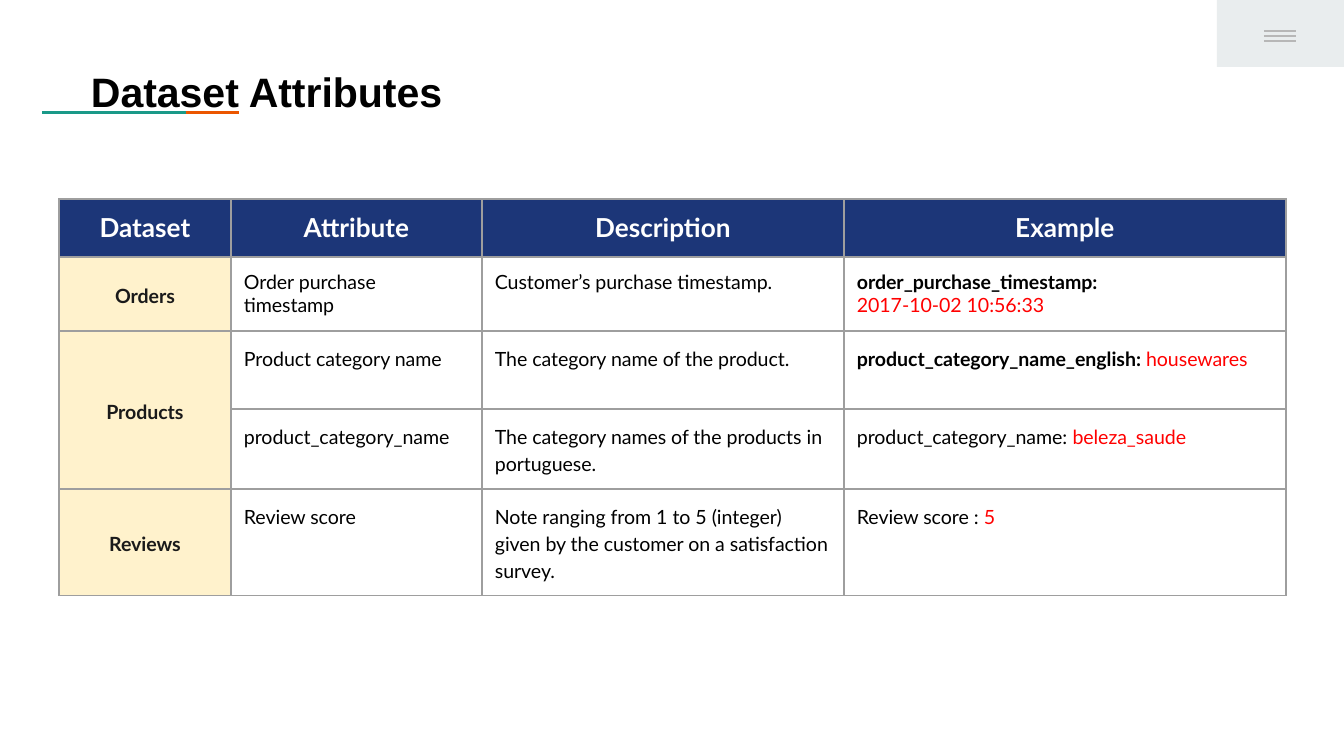
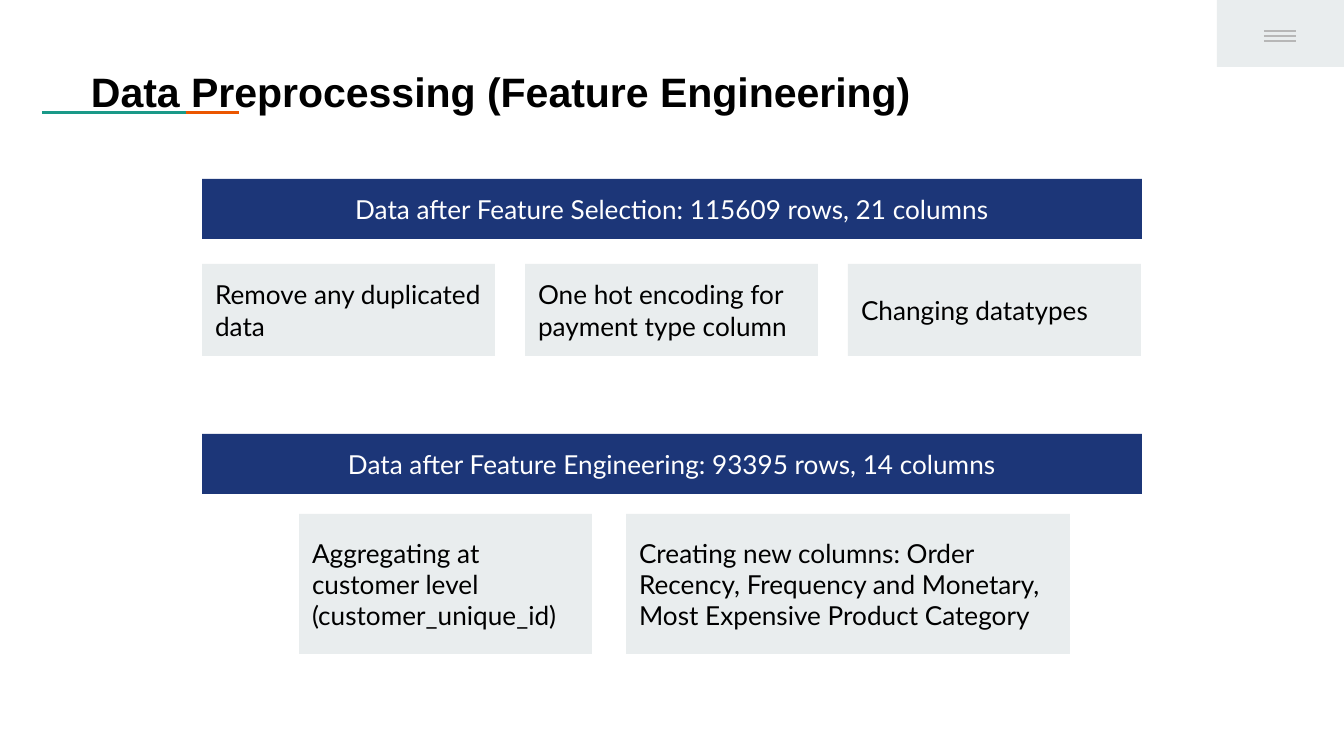
import dataclasses
import typing

import lxml.etree
import pptx
import pptx.dml.color
import pptx.enum.shapes
import pptx.enum.text
import pptx.oxml.ns
import pptx.util

EMU_PER_PX = 914400 / 134.4
INSET = 13
COLOURS = {
    "black": "000000",
    "white": "FFFFFF",
    "ink": "1A1A1A",
    "red": "FF0000",
    "navy": "1C3678",
    "cream": "FFF2CC",
    "mist": "E9EDEE",
    "teal": "1A9988",
    "orange": "EB5600",
    "rule": "B7B7B7",
    "grid": "9E9E9E",
}
CENTER = pptx.enum.text.PP_ALIGN.CENTER
LEFT = pptx.enum.text.PP_ALIGN.LEFT
TOP = pptx.enum.text.MSO_ANCHOR.TOP
MIDDLE = pptx.enum.text.MSO_ANCHOR.MIDDLE
GRID_WIDTH = pptx.util.Pt(0.75)


@dataclasses.dataclass(frozen=True)
class Style:
    colour: str = "black"
    size: float = 10.5
    bold: bool = False
    name: str = "Lato"


TITLE = Style(size=22, bold=True, name="Arial")
HEADING = Style("white", 14, True)
CATEGORY = Style("ink", bold=True)
PLAIN = Style()
STRONG = Style(bold=True)
VALUE = Style("red")
BANNER = Style("white", 14)
CARD = Style(size=14)


@dataclasses.dataclass(frozen=True)
class Span:
    text: str
    style: Style = PLAIN


Paragraphs = list[list[Span]]


@dataclasses.dataclass(frozen=True)
class Box:
    left: int
    top: int
    width: int
    height: int


@dataclasses.dataclass(frozen=True)
class Attribute:
    category: str
    name: str
    description: str
    example: Paragraphs
    height: int
    line_spacing: float | None = 1.15


@dataclasses.dataclass(frozen=True)
class Stage:
    """A banner and the row of cards below it."""

    top: int
    banner: str
    cards_left: int
    cards_top: int
    cards_height: int
    gap: int
    cards: list[tuple[int, str]]


HEADINGS = ["Dataset", "Attribute", "Description", "Example"]
COLUMN_WIDTHS = [172, 251, 362, 442]
HEADING_HEIGHT = 58
ATTRIBUTES = [
    Attribute(
        "Orders", "Order purchase timestamp", "Customer’s purchase timestamp.",
        [[Span("order_purchase_timestamp:", STRONG)],
         [Span("2017-10-02 10:56:33", VALUE)]],
        74, None,
    ),
    Attribute(
        "Products", "Product category name", "The category name of the product.",
        [[Span("product_category_name_english: ", STRONG), Span("housewares", VALUE)]],
        78,
    ),
    Attribute(
        "Products", "product_category_name",
        "The category names of the products in portuguese.",
        [[Span("product_category_name: "), Span("beleza_saude", VALUE)]],
        78,
    ),
    Attribute(
        "Reviews", "Review score",
        "Note ranging from 1 to 5 (integer) given by the customer on a satisfaction survey.",
        [[Span("Review score : "), Span("5", VALUE)]],
        105,
    ),
]
STAGES = [
    Stage(
        179, "Data after Feature Selection: 115609 rows, 21 columns",
        202, 264, 92, 30,
        [(293, "Remove any duplicated data"),
         (293, "One hot encoding for payment type column"),
         (293, "Changing datatypes")],
    ),
    Stage(
        434, "Data after Feature Engineering: 93395 rows, 14 columns",
        299, 514, 140, 34,
        [(293, "Aggregating at customer level (customer_unique_id)"),
         (444, "Creating new columns: Order Recency, Frequency and Monetary, "
               "Most Expensive Product Category")],
    ),
]


def px(length: int) -> int:
    return round(length * EMU_PER_PX)


def place(box: Box) -> list[int]:
    return [px(length) for length in dataclasses.astuple(box)]


def colour(name: str) -> pptx.dml.color.RGBColor:
    return pptx.dml.color.RGBColor.from_string(COLOURS[name])


def set_all(target: typing.Any, values: dict[str, typing.Any]) -> None:
    for name, value in values.items():
        setattr(target, name, value)


def set_layout(holder: typing.Any, anchor: typing.Any, top_inset: int = INSET) -> None:
    """Set the insets and the anchor of a text frame or a table cell."""
    set_all(holder, {
        "margin_left": px(INSET),
        "margin_right": px(INSET),
        "margin_top": px(top_inset),
        "margin_bottom": px(INSET),
        "vertical_anchor": anchor,
        "word_wrap": True,
    } if not hasattr(holder, "is_merge_origin") else {
        "margin_left": px(INSET),
        "margin_right": px(INSET),
        "margin_top": px(top_inset),
        "margin_bottom": px(INSET),
        "vertical_anchor": anchor,
    })


def write(frame: typing.Any, paragraphs: Paragraphs, **formats: typing.Any) -> None:
    for index, spans in enumerate(paragraphs):
        para = frame.add_paragraph() if index else frame.paragraphs[0]
        set_all(para, formats)
        for span in spans:
            run = para.add_run()
            run.text = span.text
            set_all(run.font, {
                "name": span.style.name,
                "size": pptx.util.Pt(span.style.size),
                "bold": span.style.bold,
            })
            run.font.color.rgb = colour(span.style.colour)


def add_block(page: typing.Any, box: Box, fill: str) -> typing.Any:
    block = page.shapes.add_shape(
        pptx.enum.shapes.MSO_SHAPE.RECTANGLE, *place(box))
    block.shadow.inherit = False
    block.fill.solid()
    block.fill.fore_color.rgb = colour(fill)
    block.line.fill.background()
    return block


def add_label(page: typing.Any, box: Box, fill: str, span: Span, alignment: typing.Any) -> None:
    frame = add_block(page, box, fill).text_frame
    set_layout(frame, MIDDLE)
    write(frame, [[span]], alignment=alignment)


def add_menu_line(page: typing.Any, top: int) -> None:
    line = page.shapes.add_connector(
        pptx.enum.shapes.MSO_CONNECTOR.STRAIGHT, px(1264), px(top), px(1296), px(top))
    line.line.color.rgb = colour("rule")
    line.line.width = GRID_WIDTH
    lxml.etree.SubElement(line._element.spPr, pptx.oxml.ns.qn("a:effectLst"))


def add_page(deck: typing.Any, title: str) -> typing.Any:
    """Add a blank page with the shared corner menu, underline and title."""
    page = deck.slides.add_slide(deck.slide_layouts[6])
    add_block(page, Box(185, 111, 54, 3), "orange")
    add_block(page, Box(42, 111, 144, 3), "teal")
    add_block(page, Box(1217, 0, 127, 67), "mist")
    for top in range(31, 42, 5):
        add_menu_line(page, top)
    frame = page.shapes.add_textbox(*place(Box(78, 40, 1188, 77))).text_frame
    set_layout(frame, TOP, top_inset=19)
    write(frame, [[Span(title, TITLE)]],
          line_spacing=1.15, space_after=pptx.util.Pt(6))
    return page


def add_borders(cell: typing.Any) -> None:
    qn = pptx.oxml.ns.qn
    properties = cell._tc.get_or_add_tcPr()
    for side in ("lnL", "lnR", "lnT", "lnB"):
        border = lxml.etree.SubElement(properties, qn(f"a:{side}"), w=str(GRID_WIDTH))
        fill = lxml.etree.SubElement(border, qn("a:solidFill"))
        lxml.etree.SubElement(fill, qn("a:srgbClr"), val=COLOURS["grid"])


def fill_cell(cell: typing.Any, paragraphs: Paragraphs, fill: str | None = None,
              anchor: typing.Any = TOP, **formats: typing.Any) -> None:
    set_layout(cell, anchor)
    if fill:
        cell.fill.solid()
        cell.fill.fore_color.rgb = colour(fill)
    else:
        cell.fill.background()
    write(cell.text_frame, paragraphs, **formats)


def add_attribute_table(page: typing.Any) -> None:
    heights = [HEADING_HEIGHT] + [attribute.height for attribute in ATTRIBUTES]
    box = Box(59, 199, sum(COLUMN_WIDTHS), sum(heights))
    table = page.shapes.add_table(len(heights), len(HEADINGS), *place(box)).table
    set_all(table, {"first_row": False, "horz_banding": False})
    for column, width in zip(table.columns, COLUMN_WIDTHS):
        column.width = px(width)
    for row, height in zip(table.rows, heights):
        row.height = px(height)
    for cell in table.iter_cells():
        add_borders(cell)

    for index, heading in enumerate(HEADINGS):
        fill_cell(table.cell(0, index), [[Span(heading, HEADING)]], "navy",
                  alignment=CENTER)
    category_cell = None
    category = ""
    for index, attribute in enumerate(ATTRIBUTES, start=1):
        cell = table.cell(index, 0)
        if attribute.category == category:
            category_cell.merge(cell)
        else:
            category, category_cell = attribute.category, cell
            fill_cell(cell, [[Span(category, CATEGORY)]], "cream", MIDDLE,
                      alignment=CENTER, line_spacing=1.15)
        contents = [[[Span(attribute.name)]], [[Span(attribute.description)]],
                    attribute.example]
        for column, paragraphs in enumerate(contents, start=1):
            fill_cell(table.cell(index, column), paragraphs,
                      line_spacing=attribute.line_spacing)


def add_stage(page: typing.Any, stage: Stage) -> None:
    add_label(page, Box(202, stage.top, 940, 60), "navy",
              Span(stage.banner, BANNER), CENTER)
    left = stage.cards_left
    for width, text in stage.cards:
        add_label(page, Box(left, stage.cards_top, width, stage.cards_height),
                  "mist", Span(text, CARD), LEFT)
        left += width + stage.gap


def main() -> None:
    deck = pptx.Presentation()
    set_all(deck, {"slide_width": px(1344), "slide_height": px(756)})
    add_attribute_table(add_page(deck, "Dataset Attributes"))
    page = add_page(deck, "Data Preprocessing (Feature Engineering)")
    for stage in STAGES:
        add_stage(page, stage)
    deck.save("out.pptx")


if __name__ == "__main__":
    main()
